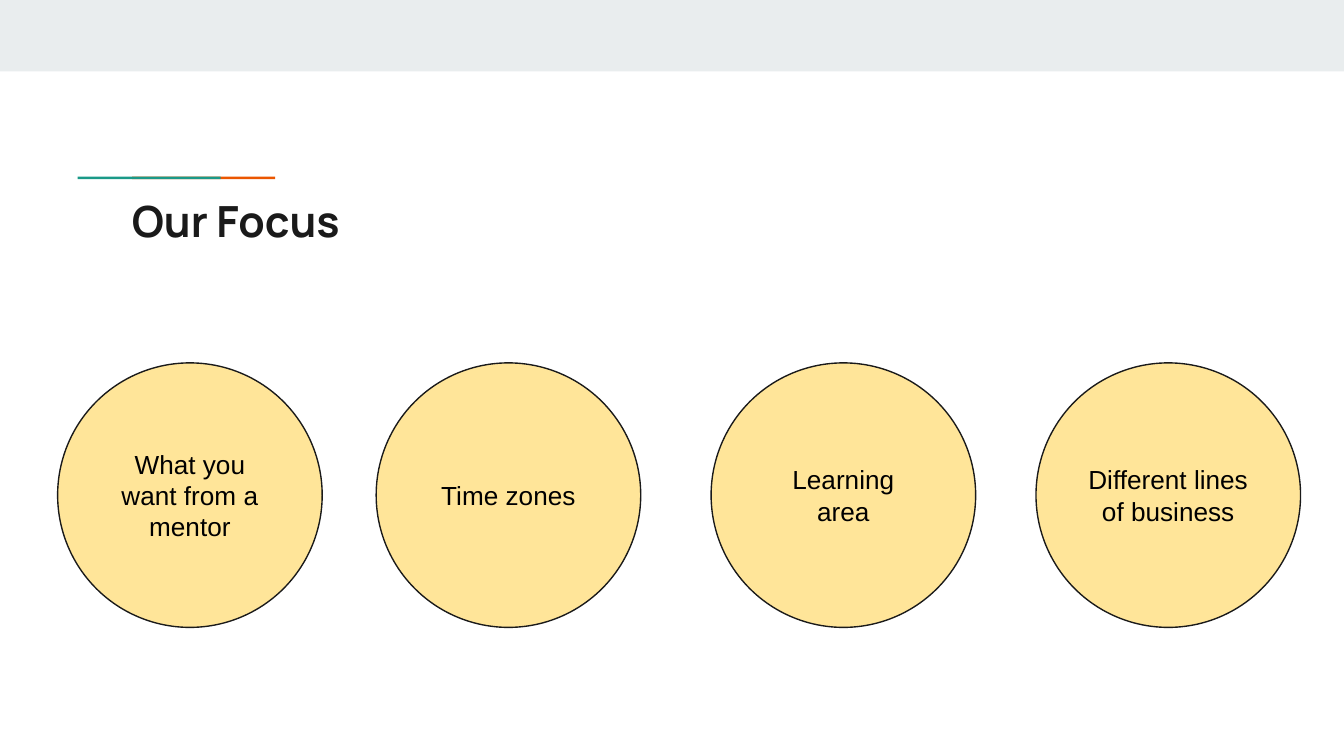
import pptx
import pptx.dml.color
import pptx.enum.shapes
import pptx.enum.text
import pptx.util
from pptx.util import Cm

COLORS = {
    "band": "E9EDEE",
    "orange": "EB5600",
    "green": "1A9988",
    "circle": "FFE599",
    "dark": "1A1A1A",
    "black": "000000",
}
SHAPES = pptx.enum.shapes.MSO_SHAPE
ALIGN = pptx.enum.text.PP_ALIGN
ANCHOR = pptx.enum.text.MSO_ANCHOR

CIRCLE_SIZE = 5
CIRCLE_TOP = 6.86
FOCUS_AREAS = [
    (1.09, "What you want from a mentor"),
    (7.11, "Time zones"),
    (13.44, "Learning area"),
    (19.58, "Different lines of business"),
]


def color(name):
    return pptx.dml.color.RGBColor.from_string(COLORS[name])


def add_filled(page, kind, left, top, width, height, fill):
    """Add a flat preset shape without an outline."""
    shape = page.shapes.add_shape(kind, Cm(left), Cm(top), Cm(width), Cm(height))
    shape.shadow.inherit = False
    shape.fill.solid()
    shape.fill.fore_color.rgb = color(fill)
    shape.line.fill.background()
    return shape


def write_text(box, text, font, size, ink, align, anchor, bold=False):
    frame = box.text_frame
    frame.word_wrap = True
    frame.auto_size = pptx.enum.text.MSO_AUTO_SIZE.NONE
    frame.vertical_anchor = anchor
    frame.margin_left = frame.margin_right = Cm(0.25)
    frame.margin_top = frame.margin_bottom = Cm(0.25)
    para = frame.paragraphs[0]
    para.alignment = align
    para.line_spacing = 1.0
    para.space_before = pptx.util.Pt(0)
    span = para.add_run()
    span.text = text
    span.font.name = font
    span.font.size = pptx.util.Pt(size)
    span.font.bold = bold
    span.font.color.rgb = color(ink)


def place_title(page, text):
    title = page.shapes.title
    title.left, title.top = Cm(2.24), Cm(3.43)
    title.width, title.height = Cm(8.33), Cm(1.5)
    write_text(title, text, "Manrope", 23, "dark", ALIGN.LEFT, ANCHOR.TOP, bold=True)


def add_circle(page, left, text):
    circle = add_filled(page, SHAPES.OVAL, left, CIRCLE_TOP,
                        CIRCLE_SIZE, CIRCLE_SIZE, "circle")
    circle.line.color.rgb = color("dark")
    circle.line.width = pptx.util.Pt(0.75)
    write_text(circle, text, "Arial", 14, "black", ALIGN.CENTER, ANCHOR.MIDDLE)


def main():
    deck = pptx.Presentation()
    deck.slide_width, deck.slide_height = Cm(25.4), Cm(14.29)
    page = deck.slides.add_slide(deck.slide_layouts[5])

    add_filled(page, SHAPES.RECTANGLE, 0, 0, 25.4, 1.35, "band")
    # The green bar overlaps the left part of the orange one.
    for left, fill in ((2.5, "orange"), (1.47, "green")):
        add_filled(page, SHAPES.RECTANGLE, left, 3.34, 2.7, 0.05, fill)
    place_title(page, "Our Focus")
    for left, text in FOCUS_AREAS:
        add_circle(page, left, text)

    deck.save("out.pptx")


if __name__ == "__main__":
    main()
